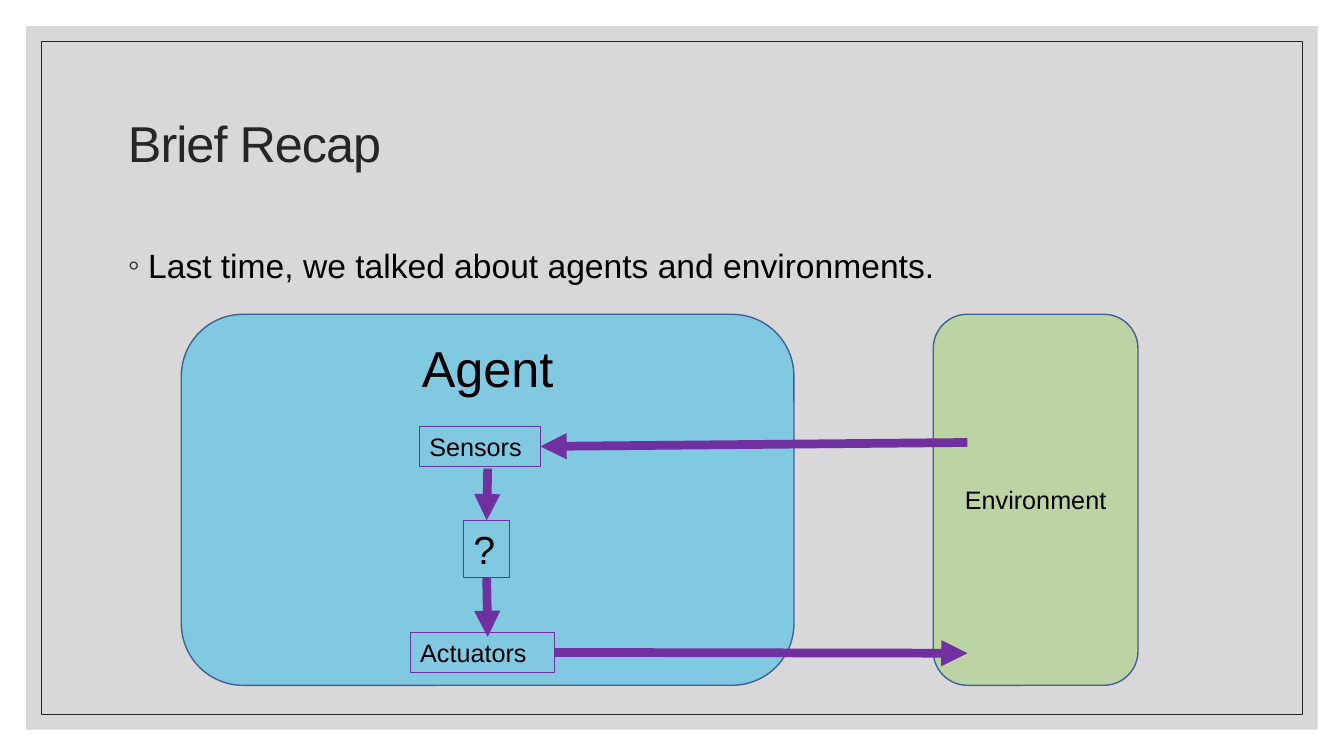
from lxml import etree
from pptx import Presentation
from pptx.dml.color import RGBColor
from pptx.enum.shapes import MSO_CONNECTOR, MSO_SHAPE
from pptx.enum.text import MSO_ANCHOR, MSO_AUTO_SIZE, PP_ALIGN
from pptx.oxml.ns import qn
from pptx.util import Cm, Pt

RECT, ROUNDED = MSO_SHAPE.RECTANGLE, MSO_SHAPE.ROUNDED_RECTANGLE
STRAIGHT = MSO_CONNECTOR.STRAIGHT
TOP, MIDDLE = MSO_ANCHOR.TOP, MSO_ANCHOR.MIDDLE
LEFT, CENTER = PP_ALIGN.LEFT, PP_ALIGN.CENTER
TOP_SIDE, BOTTOM_SIDE, RIGHT_SIDE = 0, 2, 3

BLACK = RGBColor(0x00, 0x00, 0x00)
DARK = RGBColor(0x26, 0x26, 0x26)
GREY = RGBColor(0xBF, 0xBF, 0xBF)
GREEN = RGBColor(0x92, 0xD0, 0x50)
BLUE = RGBColor(0x00, 0xB0, 0xF0)
OUTLINE = RGBColor(0x43, 0x60, 0x96)
PURPLE = RGBColor(0x70, 0x30, 0xA0)
FONT = "Arial"

# Content; all lengths in centimetres
SLIDE_SIZE = (33.87, 19.05)
TITLE = "Brief Recap"
TITLE_AREA = (2.97, 1.78, 27.94, 3.81)
BODY = "Last time, we talked about agents and environments."
BODY_AREA = (2.97, 5.84, 27.94, 10.69)
# inset from the slide edge, fill, opacity in percent, line colour
FRAMES = [(0.66, GREY, 60, None), (1.04, None, 100, DARK)]
# text, area, fill, opacity in percent, text size, anchor, wrap
PANELS = [
    ("Environment", (23.52, 7.92, 5.16, 9.35), GREEN, 39, 18, MIDDLE, True),
    ("Agent", (4.57, 7.92, 15.44, 9.35), BLUE, 40, 36, TOP, False),
]
# text, area, text size
STEPS = [
    ("Sensors", (10.57, 10.74, 3.05, 1.02), 18),
    ("?", (11.68, 13.11, 1.17, 1.45), 28),
    ("Actuators", (10.34, 15.93, 3.63, 1.02), 18),
]
# start, end; each is a point or a (step, side) joint
ARROWS = [
    ((24.38, 11.15), ("Sensors", RIGHT_SIDE)),
    (("Actuators", RIGHT_SIDE), (24.38, 16.46)),
    ((12.29, 11.81), ("?", TOP_SIDE)),
    (("?", BOTTOM_SIDE), (12.29, 16.05)),
]


def place(shape, area):
    shape.left, shape.top, shape.width, shape.height = map(Cm, area)


def write(shape, text, size, color=BLACK, align=LEFT, anchor=TOP, wrap=True):
    frame = shape.text_frame
    frame.text = text
    frame.word_wrap = wrap
    frame.auto_size = MSO_AUTO_SIZE.NONE
    frame.vertical_anchor = anchor
    para = frame.paragraphs[0]
    para.alignment = align
    para.space_before = Pt(0)
    font = para.runs[0].font
    font.name, font.size, font.color.rgb = FONT, Pt(size), color
    return para


def add_box(kind, area, fill, opacity, line, width):
    box = page.shapes.add_shape(kind, *map(Cm, area))
    box.shadow.inherit = False
    if fill is None:
        box.fill.background()
    else:
        box.fill.solid()
        box.fill.fore_color.rgb = fill
        tint = box.fill._xPr.find(".//" + qn("a:srgbClr"))
        etree.SubElement(tint, qn("a:alpha"), val=str(opacity * 1000))
    if line is None:
        box.line.fill.background()
    else:
        box.line.color.rgb = line
        box.line.width = Pt(width)
    return box


def add_arrow(start, end):
    arrow = page.shapes.add_connector(STRAIGHT, 0, 0, 0, 0)
    joined = isinstance(start[0], str)
    if joined:
        arrow.begin_connect(steps[start[0]], start[1])
    else:
        arrow.begin_x, arrow.begin_y = map(Cm, start)
    if isinstance(end[0], str):
        arrow.end_connect(steps[end[0]], end[1])
    else:
        arrow.end_x, arrow.end_y = map(Cm, end)
    arrow.line.color.rgb = PURPLE
    arrow.line.width = Pt(6.25)
    etree.SubElement(arrow.line._get_or_add_ln(), qn("a:tailEnd"), type="triangle")
    etree.SubElement(arrow._element.spPr, qn("a:effectLst"))


deck = Presentation()
deck.slide_width, deck.slide_height = map(Cm, SLIDE_SIZE)
page = deck.slides.add_slide(deck.slide_layouts[1])

# Frames, moved behind the placeholders
for depth, (inset, fill, opacity, line) in enumerate(FRAMES):
    area = (inset, inset, SLIDE_SIZE[0] - 2 * inset, SLIDE_SIZE[1] - 2 * inset)
    box = add_box(RECT, area, fill, opacity, line, 0.5)
    page.shapes._spTree.insert(2 + depth, box._element)

# Title
title = page.shapes.title
place(title, TITLE_AREA)
para = write(title, TITLE, 36, DARK, anchor=MIDDLE)
para.line_spacing = 0.9
para.runs[0].font._element.set("spc", "-70")

# Bulleted line
body = page.placeholders[1]
place(body, BODY_AREA)
para = write(body, BODY, 24)
para.line_spacing = 1.2
properties = para._p.get_or_add_pPr()
properties.set("marL", str(Cm(0.51)))
properties.set("indent", str(Cm(-0.51)))
bullet_color = etree.SubElement(properties, qn("a:buClr"))
etree.SubElement(bullet_color, qn("a:srgbClr"), val=str(DARK))
etree.SubElement(properties, qn("a:buFont"), typeface=FONT)
etree.SubElement(properties, qn("a:buChar"), char="◦")

# Agent and environment panels
for text, area, fill, opacity, size, anchor, wrap in PANELS:
    panel = add_box(ROUNDED, area, fill, opacity, OUTLINE, 1)
    write(panel, text, size, align=CENTER, anchor=anchor, wrap=wrap)

# Steps inside the agent
steps = {}
for text, area, size in STEPS:
    steps[text] = add_box(RECT, area, None, 100, PURPLE, 0.75)
    write(steps[text], text, size)

# Arrows
for start, end in ARROWS:
    add_arrow(start, end)

deck.save("out.pptx")
